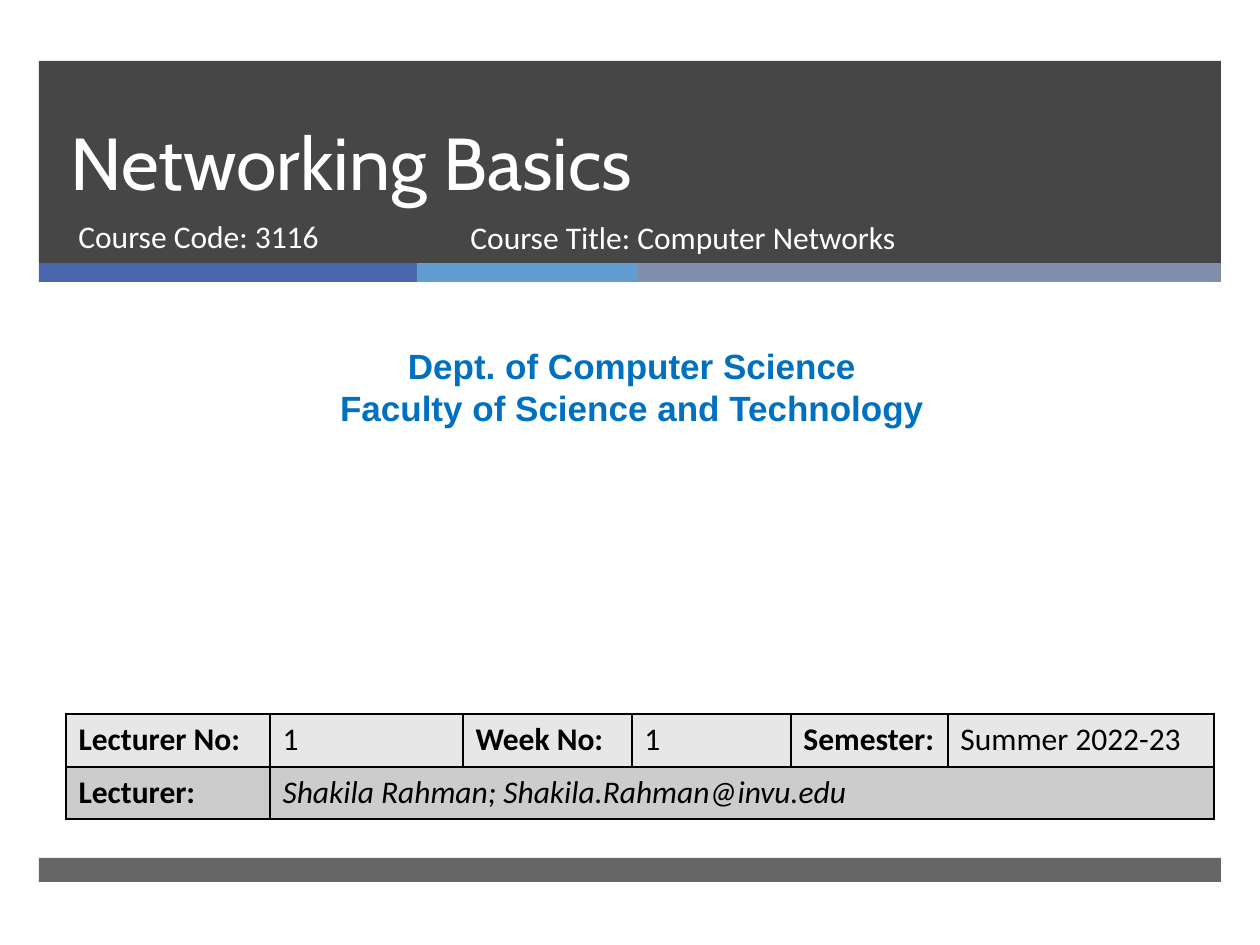
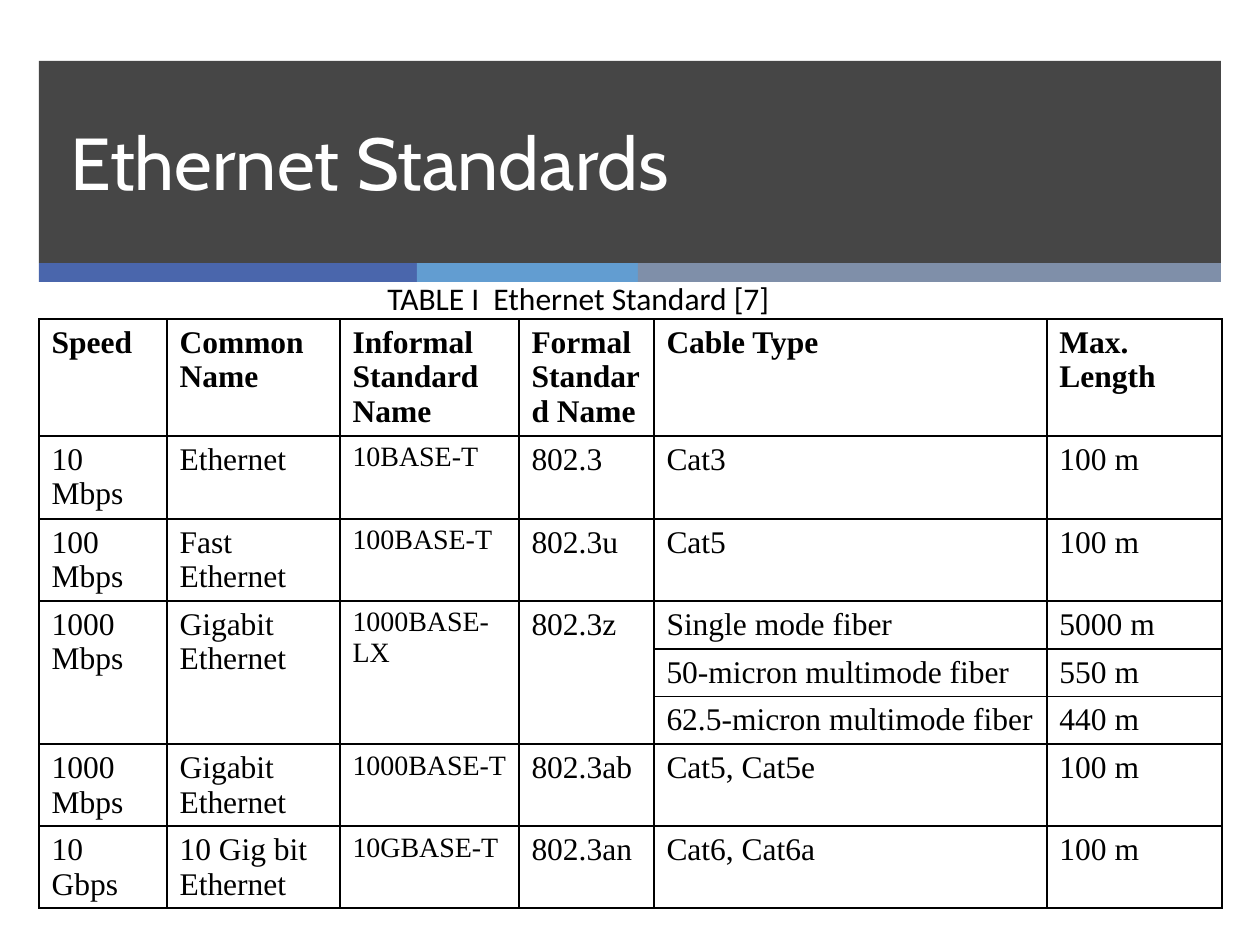
from lxml.etree import SubElement
from pptx import Presentation
from pptx.dml.color import RGBColor
from pptx.enum.shapes import MSO_SHAPE as Shape
from pptx.enum.text import MSO_ANCHOR as Anchor, PP_ALIGN as Align
from pptx.oxml.ns import qn
from pptx.util import Pt

# Content
COURSE_TITLE = "Networking Basics"
COURSE_CODE = "Course Code: 3116"
COURSE_NAME = "Course Title: Computer Networks"
DEPARTMENT = "Dept. of Computer Science\nFaculty of Science and Technology"
LECTURE_ROWS = [
    ["Lecturer No:", "1", "Week No:", "1", "Semester:", "Summer 2022-23"],
    ["Lecturer:", "Shakila Rahman; Shakila.Rahman@invu.edu"],
]

STANDARDS_TITLE = "Ethernet Standards"
STANDARDS_CAPTION = "TABLE I  Ethernet Standard [7]"
STANDARDS_ROWS = [
    ["Speed", "Common\nName", "Informal\nStandard Name",
     "Formal Standard Name", "Cable Type", "Max. Length"],
    ["10 Mbps", "Ethernet", "10BASE-T", "802.3", "Cat3", "100 m"],
    ["100 Mbps", "Fast Ethernet", "100BASE-T", "802.3u", "Cat5", "100 m"],
    ["1000 Mbps", "Gigabit Ethernet", "1000BASE-LX", "802.3z",
     "Single mode fiber", "5000 m"],
    ["", "", "", "", "50-micron multimode fiber", "550 m"],
    ["", "", "", "", "62.5-micron multimode fiber", "440 m"],
    ["1000 Mbps", "Gigabit Ethernet", "1000BASE-T", "802.3ab",
     "Cat5, Cat5e", "100 m"],
    ["10 Gbps", "10 Gig bit Ethernet", "10GBASE-T", "802.3an",
     "Cat6, Cat6a", "100 m"],
]
FIBER_ROWS = (3, 5)
INFORMAL_COLUMN = 2

# Shared look
EMU_PER_PX = 914400 / 126
BLACK = RGBColor(0x00, 0x00, 0x00)
WHITE = RGBColor(0xFF, 0xFF, 0xFF)
CHARCOAL = RGBColor(0x26, 0x26, 0x26)
INDIGO = RGBColor(0x4A, 0x66, 0xAC)
SKY = RGBColor(0x62, 0x9D, 0xD1)
SLATE = RGBColor(0x7F, 0x8F, 0xA9)
BLUE = RGBColor(0x00, 0x70, 0xC0)
LIGHT_GRAY = RGBColor(0xE7, 0xE7, 0xE7)
MID_GRAY = RGBColor(0xCC, 0xCC, 0xCC)

BAND_LEFT, BAND_WIDTH = 39, 1182
STRIPES = [(INDIGO, 378), (SKY, 221), (SLATE, 583)]
TIGHT_LINE = 1.1  # line height of the standards table, in font sizes


def px(length):
    return round(length * EMU_PER_PX)


def add_band(page, left, top, width, height, color, opacity=100):
    band = page.shapes.add_shape(Shape.RECTANGLE, px(left), px(top), px(width), px(height))
    band.shadow.inherit = False
    band.fill.solid()
    band.fill.fore_color.rgb = color
    band.line.fill.background()
    if opacity < 100:
        tint = band.fill._xPr.find(qn("a:solidFill"))[0]
        SubElement(tint, qn("a:alpha"), val=str(opacity * 1000))


def set_font(para, name, size, color, bold=False, italic=False):
    font = para.font
    font.name, font.size, font.bold, font.italic = name, Pt(size), bold, italic
    font.color.rgb = color


def add_text(page, text, left, top, width, height, name, size, color, bold=False,
             align=Align.LEFT, anchor=Anchor.TOP, spacing=None):
    frame = page.shapes.add_textbox(px(left), px(top), px(width), px(height)).text_frame
    frame.word_wrap = True
    frame.vertical_anchor = anchor
    frame.text = text
    for para in frame.paragraphs:
        set_font(para, name, size, color, bold)
        para.alignment = align
        para.line_spacing = spacing


def add_borders(cell):
    properties = cell._tc.get_or_add_tcPr()
    for side in ("lnL", "lnR", "lnT", "lnB"):
        line = SubElement(properties, qn(f"a:{side}"), w=str(Pt(1)))
        fill = SubElement(line, qn("a:solidFill"))
        SubElement(fill, qn("a:srgbClr"), val=str(BLACK))


def add_grid(page, left, top, widths, heights, rows, row_fills):
    """Draw a bordered table and return it, with its text still unstyled."""
    table = page.shapes.add_table(len(heights), len(widths), px(left), px(top),
                                  px(sum(widths)), px(sum(heights))).table
    table.first_row = table.horz_banding = False
    for column, width in zip(table.columns, widths):
        column.width = px(width)
    for row, height, fill, texts in zip(table.rows, heights, row_fills, rows):
        row.height = px(height)
        for cell in row.cells:
            add_borders(cell)
            cell.fill.solid()
            cell.fill.fore_color.rgb = fill
        for cell, text in zip(row.cells, texts):
            cell.text = text
    return table


def style_cells(table, choose_font, line_height=None):
    """Set each cell's font to what choose_font(row, column) gives."""
    for r, row in enumerate(table.rows):
        for c, cell in enumerate(row.cells):
            font = choose_font(r, c)
            for para in cell.text_frame.paragraphs:
                set_font(para, color=BLACK, **font)
                if line_height:
                    para.line_spacing = Pt(font["size"] * line_height)


def add_page(deck, title):
    page = deck.slides.add_slide(deck.slide_layouts[6])
    add_band(page, BAND_LEFT, 61, BAND_WIDTH, 202, CHARCOAL, 85)
    left = BAND_LEFT
    for color, width in STRIPES:
        add_band(page, left, 263, width, 19, color)
        left += width
    add_band(page, BAND_LEFT, 858, BAND_WIDTH, 24, CHARCOAL, 70)
    add_text(page, title, 58, 61, 1076, 150, "Cabin", 42, WHITE,
             anchor=Anchor.BOTTOM, spacing=Pt(46))
    return page


def add_course_page(deck):
    page = add_page(deck, COURSE_TITLE)
    add_text(page, COURSE_CODE, 66, 211, 384, 67, "Calibri", 18, WHITE)
    add_text(page, DEPARTMENT, 10, 338, 1244, 97, "Arial", 20, BLUE, bold=True,
             align=Align.CENTER)
    table = add_grid(page, 66, 714, [204, 193, 169, 159, 157, 266], [53, 52],
                     LECTURE_ROWS, [LIGHT_GRAY, MID_GRAY])
    table.cell(1, 1).merge(table.cell(1, 5))
    style_cells(table, lambda r, c: dict(
        name="Calibri", size=18, bold=c % 2 == 0, italic=(r, c) == (1, 1)))
    add_text(page, COURSE_NAME, 458, 212, 573, 67, "Calibri", 18, WHITE)


def add_standards_page(deck):
    page = add_page(deck, STANDARDS_TITLE)
    table = add_grid(page, 39, 319, [128, 173, 179, 135, 393, 175],
                     [117, 83, 82, 48, 47, 48, 82, 82],
                     STANDARDS_ROWS, [WHITE] * len(STANDARDS_ROWS))
    first, last = FIBER_ROWS
    for column in range(4):
        table.cell(first, column).merge(table.cell(last, column))
    style_cells(table, lambda r, c: dict(
        name="Times New Roman", bold=r == 0,
        size=16 if r > 0 and c == INFORMAL_COLUMN else 18), TIGHT_LINE)
    add_text(page, STANDARDS_CAPTION, 375, 273, 420, 50, "Calibri", 18, BLACK)


def main():
    deck = Presentation()
    deck.slide_width, deck.slide_height = px(1260), px(945)
    add_course_page(deck)
    add_standards_page(deck)
    deck.save("out.pptx")


if __name__ == "__main__":
    main()
